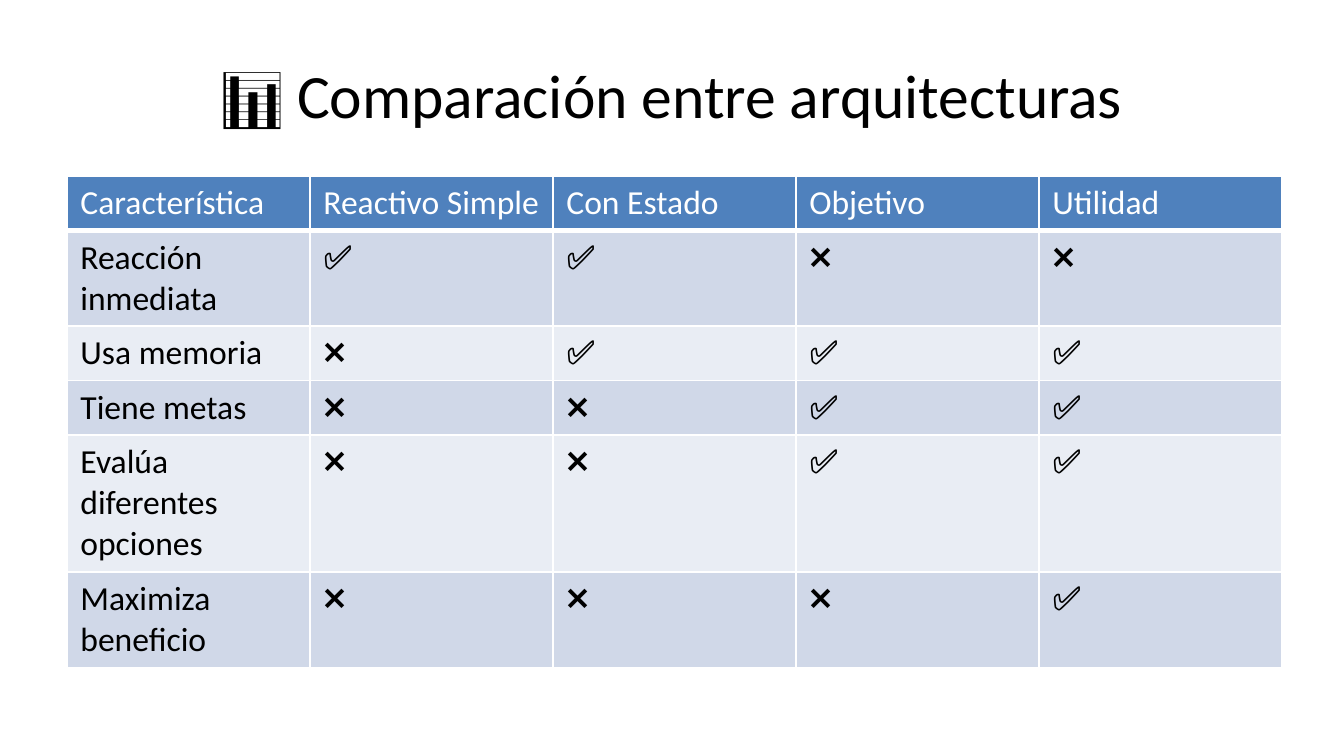
from dataclasses import dataclass

from pptx import Presentation
from pptx import util as u
from pptx.dml import color
from pptx.enum import text
from pptx.oxml import xmlchemy
from pptx.oxml import ns
from lxml import etree

EMU_PER_PX = 914400 / 134.4


@dataclass(frozen=True)
class Theme:
    font: str = "Calibri"
    title_size: int = 33
    cell_size: int = 18
    ink: str = "000000"
    paper: str = "FFFFFF"
    header: str = "4F81BD"
    bands: tuple[str, str] = ("D0D8E8", "E9EDF4")
    rule: int = 1
    header_rule: int = 3


@dataclass(frozen=True)
class Feature:
    name: str
    marks: str
    height: int


THEME = Theme()
HEADINGS = ("Característica", "Reactivo Simple", "Con Estado", "Objetivo", "Utilidad")
FEATURES = (
    Feature("Reacción inmediata", "✅✅❌❌", 95),
    Feature("Usa memoria", "❌✅✅✅", 54),
    Feature("Tiene metas", "❌❌✅✅", 54),
    Feature("Evalúa diferentes opciones", "❌❌✅✅", 137),
    Feature("Maximiza beneficio", "❌❌❌✅", 95),
)
HEADER_HEIGHT = 54
COLUMN_WIDTH = 243


def px(length: int) -> u.Emu:
    return u.Emu(round(length * EMU_PER_PX))


def rgb(value: str) -> color.RGBColor:
    return color.RGBColor.from_string(value)


def write_text(frame, words: str, *, size: int, ink: str, align=text.PP_ALIGN.LEFT) -> None:
    para = frame.paragraphs[0]
    para.alignment = align
    span = para.add_run()
    span.text = words
    span.font.name = THEME.font
    span.font.size = u.Pt(size)
    span.font.bold = False
    span.font.color.rgb = rgb(ink)


def draw_borders(cell, bottom: int) -> None:
    properties = cell._tc.get_or_add_tcPr()
    widths = {"lnL": THEME.rule, "lnR": THEME.rule, "lnT": THEME.rule, "lnB": bottom}
    for index, (side, width) in enumerate(widths.items()):
        line = etree.Element(ns.qn(f"a:{side}"), w=str(u.Pt(width)))
        fill = etree.SubElement(line, ns.qn("a:solidFill"))
        etree.SubElement(fill, ns.qn("a:srgbClr"), val=THEME.paper)
        properties.insert(index, line)


def fill_row(table, index: int, words: tuple[str, ...], *, height: int,
             fill: str, ink: str, bottom: int) -> None:
    table.rows[index].height = px(height)
    for cell, label in zip(table.rows[index].cells, words):
        cell.fill.solid()
        cell.fill.fore_color.rgb = rgb(fill)
        draw_borders(cell, bottom)
        write_text(cell.text_frame, label, size=THEME.cell_size, ink=ink)


def add_title(page, words: str) -> None:
    box = page.shapes.title
    box.left, box.top, box.width, box.height = px(67), px(31), px(1210), px(126)
    box.text_frame.vertical_anchor = text.MSO_ANCHOR.MIDDLE
    write_text(box.text_frame, words, size=THEME.title_size, ink=THEME.ink,
               align=text.PP_ALIGN.CENTER)


def add_comparison(page) -> None:
    height = HEADER_HEIGHT + sum(feature.height for feature in FEATURES)
    table = page.shapes.add_table(
        len(FEATURES) + 1, len(HEADINGS), px(67), px(176),
        px(COLUMN_WIDTH * len(HEADINGS)), px(height)).table
    for column in table.columns:
        column.width = px(COLUMN_WIDTH)
    fill_row(table, 0, HEADINGS, height=HEADER_HEIGHT, fill=THEME.header,
             ink=THEME.paper, bottom=THEME.header_rule)
    for index, feature in enumerate(FEATURES):
        fill_row(table, index + 1, (feature.name, *feature.marks), height=feature.height,
                 fill=THEME.bands[index % 2], ink=THEME.ink, bottom=THEME.rule)


def main() -> None:
    deck = Presentation()
    deck.slide_width, deck.slide_height = px(1344), px(756)
    page = deck.slides.add_slide(deck.slide_layouts.get_by_name("Title Only"))
    page.background.fill.solid()
    page.background.fill.fore_color.rgb = rgb(THEME.paper)
    add_title(page, "📊 Comparación entre arquitecturas")
    add_comparison(page)
    deck.save("out.pptx")


if __name__ == "__main__":
    main()
